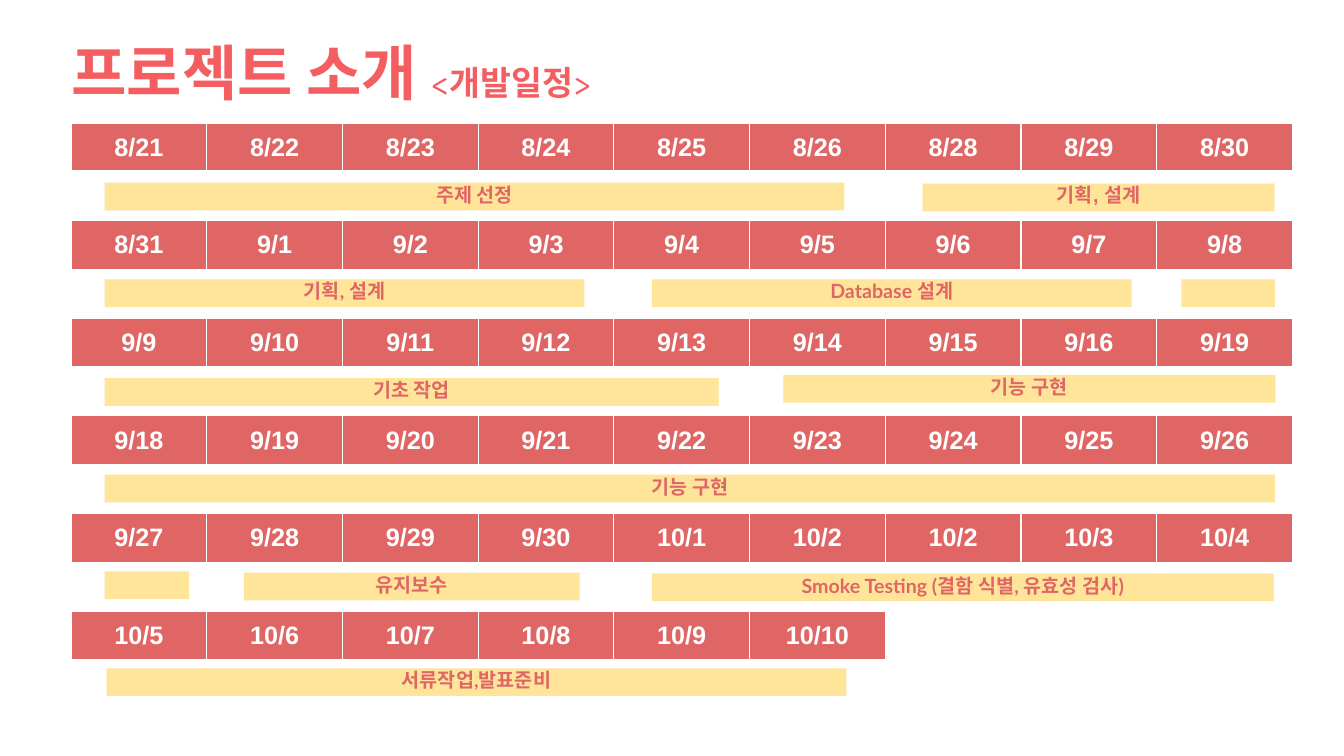
from lxml import etree
from pptx import Presentation
from pptx.dml.color import RGBColor
from pptx.enum.shapes import MSO_SHAPE as Shape
from pptx.enum.text import MSO_ANCHOR as Anchor, MSO_AUTO_SIZE as AutoSize, PP_ALIGN as Align
from pptx.oxml import parse_xml
from pptx.oxml.ns import nsdecls
from pptx.util import Cm, Pt

COLORS = {"title": "F55E61", "date": "E06666", "bar": "FFE599",
          "bar_edge": "FFF2CC", "white": "FFFFFF"}
FORMATS = {
    "title": {"name": "Vollkorn", "size": Pt(43), "bold": True},
    "subtitle": {"name": "Vollkorn", "size": Pt(24), "bold": True},
    "date": {"name": "Arial", "size": Pt(18), "bold": True},
    "task": {"name": "Lato", "size": Pt(14), "bold": True},
    "arial_task": {"name": "Arial", "size": Pt(14), "bold": True},
}
DAYS_PER_ROW = 9
DAY_WIDTH, ROW_HEIGHT, BAR_HEIGHT = 3.42, 1.23, 0.7
WEEKS = [
    "8/21 8/22 8/23 8/24 8/25 8/26 8/28 8/29 8/30",
    "8/31 9/1 9/2 9/3 9/4 9/5 9/6 9/7 9/8",
    "9/9 9/10 9/11 9/12 9/13 9/14 9/15 9/16 9/19",
    "9/18 9/19 9/20 9/21 9/22 9/23 9/24 9/25 9/26",
    "9/27 9/28 9/29 9/30 10/1 10/2 10/2 10/3 10/4",
    "10/5 10/6 10/7 10/8 10/9 10/10",
]
# For each week: left from the calendar edge, top from the week's dates, width, label
TASKS = [
    [(0.85, 1.5, 18.64, "주제 선정"), (21.45, 1.52, 8.89, "기획, 설계")],
    [(0.85, 1.48, 12.09, "기획, 설계"), (14.64, 1.48, 12.09, "Database 설계"),
     (27.98, 1.48, 2.36, "")],
    [(0.85, 1.51, 15.47, "기초 작업"), (17.95, 1.43, 12.4, "기능 구현")],
    [(0.85, 1.48, 29.49, "기능 구현")],
    [(0.85, 1.46, 2.13, ""), (4.36, 1.49, 8.46, "유지보수"),
     (14.64, 1.51, 15.67, "Smoke Testing (결함 식별, 유효성 검사)")],
    [(0.9, 1.44, 18.64, "서류작업,발표준비")],
]


def rgb(name):
    return RGBColor.from_string(COLORS[name])


def add_run(paragraph, text, style, color):
    run = paragraph.add_run()
    run.text = text
    for attribute, value in FORMATS[style].items():
        setattr(run.font, attribute, value)
    run.font.color.rgb = rgb(color)


def add_title(slide, left, top, width, height):
    title = slide.shapes.title
    box = {"left": left, "top": top, "width": width, "height": height}
    for attribute, value in box.items():
        setattr(title, attribute, Cm(value))
    frame = title.text_frame
    frame.auto_size = AutoSize.NONE
    frame.vertical_anchor = Anchor.MIDDLE
    paragraph = frame.paragraphs[0]
    paragraph.alignment = Align.LEFT
    paragraph.line_spacing = 0.9
    add_run(paragraph, "프로젝트 소개 ", "title", "title")
    add_run(paragraph, "<개발일정>", "subtitle", "title")


def set_borders(cell, bottom_width):
    properties = cell._tc.get_or_add_tcPr()
    widths = {"lnL": 1, "lnR": 1, "lnT": 1, "lnB": bottom_width}
    for index, (side, width) in enumerate(widths.items()):
        border = parse_xml(f'<a:{side} {nsdecls("a")} w="{Pt(width)}"/>')
        fill = etree.SubElement(border, border.tag.replace(side, "solidFill"))
        etree.SubElement(fill, border.tag.replace(side, "srgbClr"), val=COLORS["white"])
        properties.insert(index, border)


def add_calendar(slide, left, top):
    """Add the table in which each row of dates is followed by an empty row."""
    row_count = 2 * len(WEEKS)
    table = slide.shapes.add_table(
        row_count, DAYS_PER_ROW, Cm(left), Cm(top),
        Cm(DAY_WIDTH * DAYS_PER_ROW), Cm(ROW_HEIGHT * row_count)).table
    table.first_row = table.horz_banding = False
    for column in table.columns:
        column.width = Cm(DAY_WIDTH)
    for row_index, row in enumerate(table.rows):
        row.height = Cm(ROW_HEIGHT)
        dates = WEEKS[row_index // 2].split() if row_index % 2 == 0 else []
        for column_index, cell in enumerate(row.cells):
            has_date = column_index < len(dates)
            cell.fill.solid()
            cell.fill.fore_color.rgb = rgb("date" if has_date else "white")
            set_borders(cell, 3 if row_index == 0 else 1)
            if has_date:
                cell.vertical_anchor = Anchor.MIDDLE
                paragraph = cell.text_frame.paragraphs[0]
                paragraph.alignment = Align.CENTER
                add_run(paragraph, dates[column_index], "date", "white")


def add_task_bar(slide, left, top, width, label, style, edged):
    bar = slide.shapes.add_shape(
        Shape.RECTANGLE, Cm(left), Cm(top), Cm(width), Cm(BAR_HEIGHT))
    bar.shadow.inherit = False
    bar.fill.solid()
    bar.fill.fore_color.rgb = rgb("bar")
    if edged:
        bar.line.color.rgb = rgb("bar_edge")
        bar.line.width = Pt(0.75)
    else:
        bar.line.fill.background()
    if label:
        frame = bar.text_frame
        for side in ("left", "top", "right", "bottom"):
            setattr(frame, f"margin_{side}", 0)
        frame.vertical_anchor = Anchor.TOP
        frame.paragraphs[0].alignment = Align.CENTER
        add_run(frame.paragraphs[0], label, style, "date")


def add_schedule(slide, left, top):
    add_calendar(slide, left, top)
    for week, tasks in enumerate(TASKS):
        week_top = top + week * 2 * ROW_HEIGHT
        style = "arial_task" if week == 0 else "task"
        for index, (offset, drop, width, label) in enumerate(tasks):
            edged = week == 0 and index == 1
            add_task_bar(slide, left + offset, week_top + drop, width, label, style, edged)


def main():
    presentation = Presentation()
    presentation.slide_width, presentation.slide_height = Cm(33.87), Cm(19.05)
    slide = presentation.slides.add_slide(presentation.slide_layouts[5])
    add_title(slide, 1.55, 0.33, 28.22, 3.18)
    add_schedule(slide, 1.79, 3.1)
    presentation.save("out.pptx")


if __name__ == "__main__":
    main()
